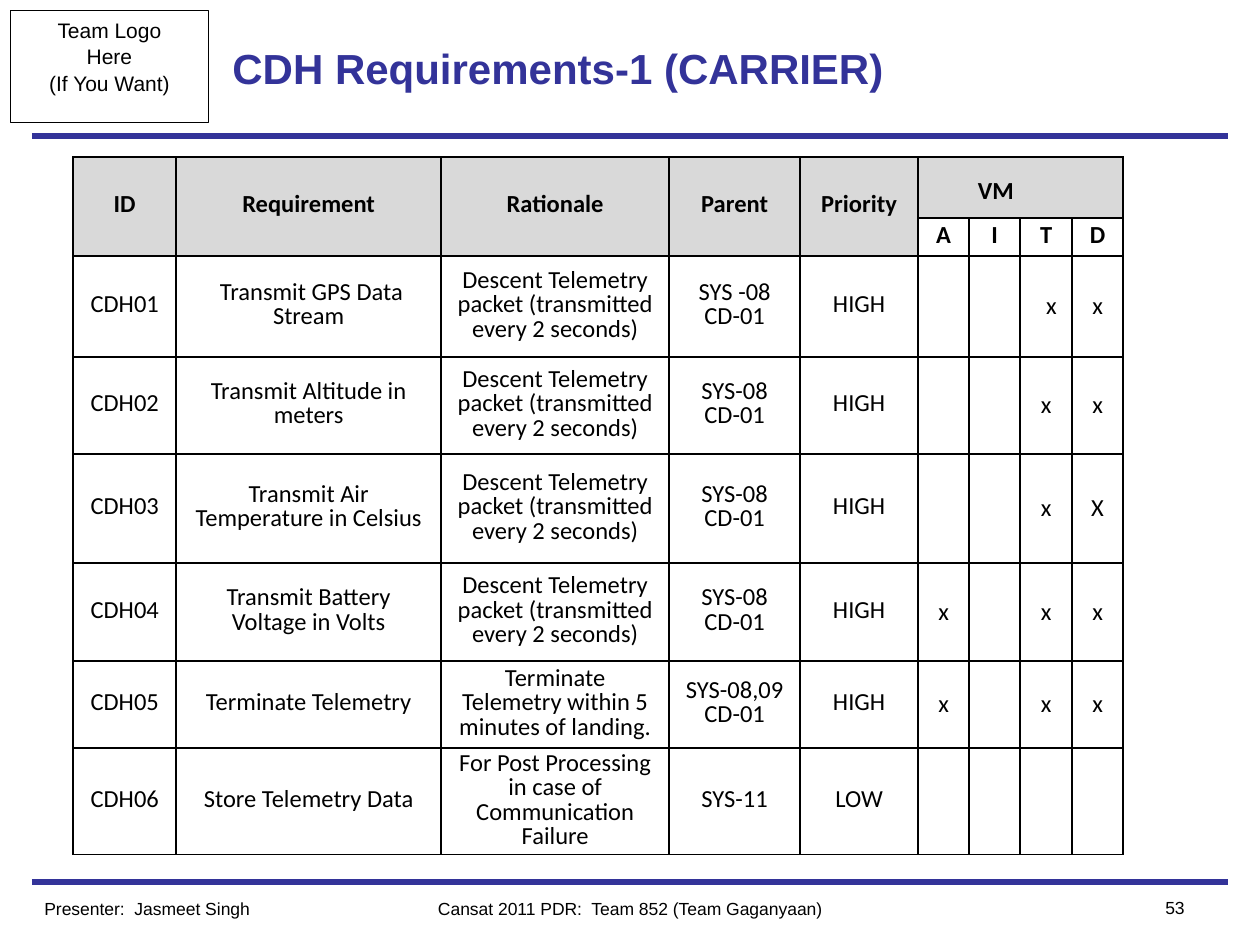
from dataclasses import dataclass
from lxml.etree import SubElement
from pptx import Presentation
from pptx.dml.color import RGBColor
from pptx.enum.shapes import MSO_CONNECTOR, MSO_SHAPE
from pptx.enum.text import MSO_ANCHOR, PP_ALIGN
from pptx.oxml.ns import qn
from pptx.util import Pt

TITLE = "CDH Requirements-1 (CARRIER)"
LOGO = "Team Logo\nHere\n(If You Want)"
FOOTS = [
    ("Presenter:  Jasmeet Singh", (32, 892, 315, 34), "left"),
    ("Cansat 2011 PDR:  Team 852 (Team Gaganyaan)", (378, 892, 504, 34), "center"),
    ("53", (1103, 891, 94, 34), "right"),
]
HEADS = ["ID", "Requirement", "Rationale", "Parent", "Priority"]
METHODS = "AITD"
PACKET = "Descent Telemetry packet (transmitted every 2 seconds)"
ROWS = [
    ("CDH01", " Transmit GPS Data Stream", PACKET, "SYS -08\nCD-01", "HIGH",
     "", "", "x", "x"),
    ("CDH02", "Transmit Altitude in meters", PACKET, "SYS-08\nCD-01", "HIGH",
     "", "", "x", "x"),
    ("CDH03", "Transmit Air Temperature in Celsius", PACKET, "SYS-08\nCD-01", "HIGH",
     "", "", "x", "X"),
    ("CDH04", "Transmit Battery Voltage in Volts", PACKET, "SYS-08\nCD-01", "HIGH",
     "x", "", "x", "x"),
    ("CDH05", "Terminate Telemetry", "Terminate Telemetry within 5 minutes of landing.",
     "SYS-08,09\nCD-01", "HIGH", "x", "", "x", "x"),
    ("CDH06", "Store Telemetry Data", "For Post Processing in case of Communication Failure",
     "SYS-11", "LOW", "", "", "", ""),
]
WIDTHS = [103, 265, 228, 131, 118, 51, 51, 52, 51]
HEIGHTS = [61, 38, 101, 97, 109, 98, 87, 106]
RULES = [136, 882]


@dataclass(frozen=True)
class Theme:
    navy: str = "333399"
    black: str = "000000"
    gray: str = "D9D9D9"
    sans: str = "Arial"
    body: str = "Calibri"
    title: int = 24
    cell: int = 14
    logo: int = 12
    foot: int = 10


T = Theme()
ALIGN = {"left": PP_ALIGN.LEFT, "center": PP_ALIGN.CENTER, "right": PP_ALIGN.RIGHT}


def px(n):
    return round(n * 914400 / 126)


def write(frame, text, size, font=T.sans, color=T.black, bold=False,
          align="center", space=None):
    frame.text = text
    for para in frame.paragraphs:
        para.alignment = ALIGN[align]
        para.line_spacing = space
        para.font.size = Pt(size)
        para.font.name = font
        para.font.bold = bold
        para.font.color.rgb = RGBColor.from_string(color)


def label(slide, text, box, size, anchor=MSO_ANCHOR.TOP, **form):
    frame = slide.shapes.add_textbox(*map(px, box)).text_frame
    frame.word_wrap = True
    frame.vertical_anchor = anchor
    write(frame, text, size, **form)


def rule(slide, y):
    line = slide.shapes.add_connector(
        MSO_CONNECTOR.STRAIGHT, px(32), px(y), px(1228), px(y))
    line.line.color.rgb = RGBColor.from_string(T.navy)
    line.line.width = Pt(3)
    SubElement(line._element.spPr, qn("a:effectLst"))


def border(cell):
    props = cell._tc.get_or_add_tcPr()
    for side in ("lnL", "lnR", "lnT", "lnB"):
        edge = SubElement(props, qn(f"a:{side}"), w=str(Pt(1)))
        fill = SubElement(edge, qn("a:solidFill"))
        SubElement(fill, qn("a:srgbClr"), val=T.black)


def put(cell, text, left=13, top=4, **form):
    cell.margin_left, cell.margin_top = px(left), px(top)
    cell.vertical_anchor = MSO_ANCHOR.MIDDLE
    if text:
        write(cell.text_frame, text, T.cell, font=T.body, **form)


def shade(cell):
    cell.fill.solid()
    cell.fill.fore_color.rgb = RGBColor.from_string(T.gray)


def grid(slide):
    table = slide.shapes.add_table(
        len(HEIGHTS), len(WIDTHS), px(73), px(157),
        px(sum(WIDTHS)), px(sum(HEIGHTS))).table
    table.first_row = table.horz_banding = False
    for col, wide in zip(table.columns, WIDTHS):
        col.width = px(wide)
    for row, high in zip(table.rows, HEIGHTS):
        row.height = px(high)
    for cell in table.iter_cells():
        border(cell)
        cell.fill.background()

    count = len(HEADS)
    for c, head in enumerate(HEADS):
        cell = table.cell(0, c)
        cell.merge(table.cell(1, c))
        put(cell, head, bold=True, space=0.82)
        shade(cell)
    group = table.cell(0, count)
    group.merge(table.cell(0, len(WIDTHS) - 1))
    put(group, "VM", left=60, top=14, bold=True, align="left")
    shade(group)
    for c, name in enumerate(METHODS, count):
        put(table.cell(1, c), name, bold=True, space=0.82)

    for r, row in enumerate(ROWS, 2):
        for c, text in enumerate(row):
            mark = c >= count
            left = 24 if (r, c) == (2, 7) else 13
            put(table.cell(r, c), text, left=left, top=6 if mark else 4,
                space=None if mark else 0.82)


def main():
    deck = Presentation()
    deck.slide_width, deck.slide_height = px(1260), px(945)
    slide = deck.slides.add_slide(deck.slide_layouts[6])
    for y in RULES:
        rule(slide, y)
    logo = slide.shapes.add_shape(MSO_SHAPE.RECTANGLE, *map(px, (10, 10, 199, 113)))
    logo.shadow.inherit = False
    logo.fill.background()
    logo.line.color.rgb = RGBColor.from_string(T.black)
    logo.line.width = Pt(0.5)
    logo.text_frame.word_wrap = False
    logo.text_frame.vertical_anchor = MSO_ANCHOR.TOP
    write(logo.text_frame, LOGO, T.logo, space=1.05)
    label(slide, TITLE, (220, 10, 819, 116), T.title, MSO_ANCHOR.MIDDLE,
          color=T.navy, bold=True, align="left")
    grid(slide)
    for text, box, align in FOOTS:
        label(slide, text, box, T.foot, align=align)
    deck.save("out.pptx")


if __name__ == "__main__":
    main()
